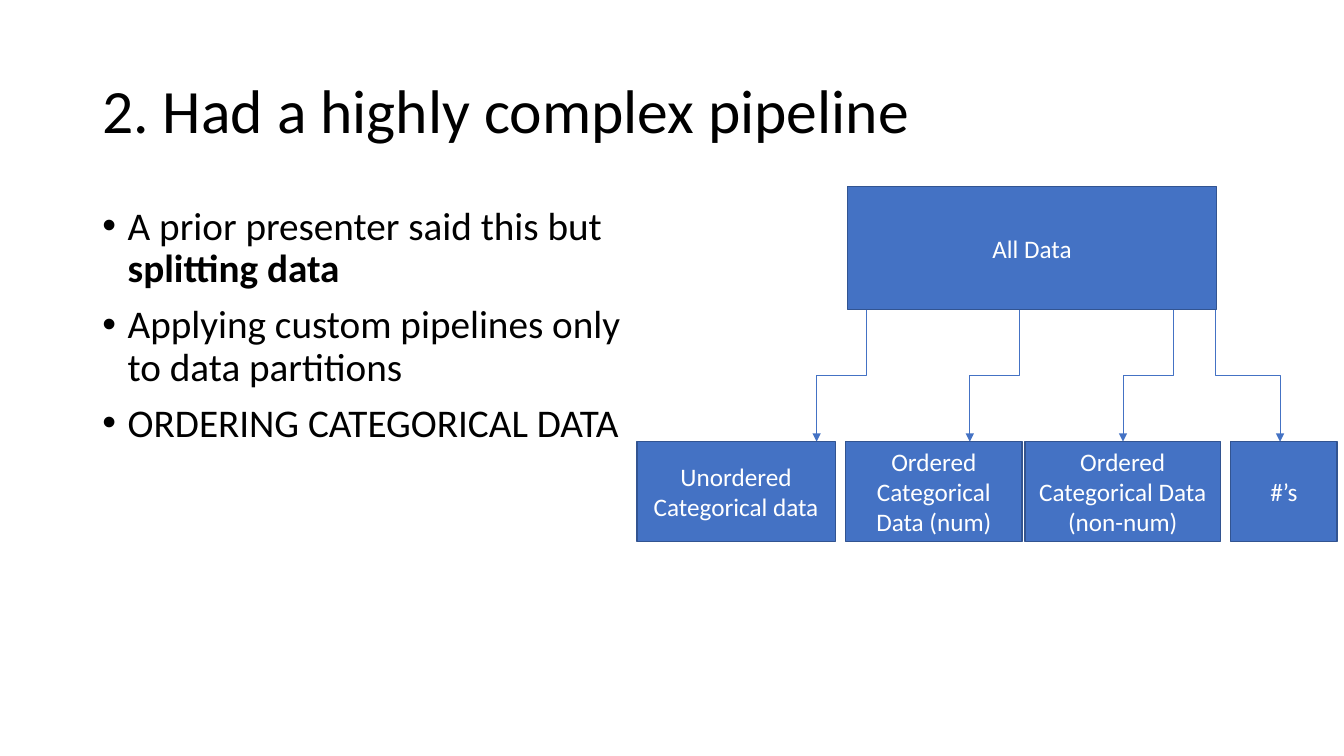
import lxml.etree
import pptx
import pptx.dml.color
import pptx.enum.shapes
import pptx.enum.text
import pptx.oxml.ns
import pptx.util

Cm = pptx.util.Cm
Pt = pptx.util.Pt
qualified = pptx.oxml.ns.qn

FONT = "Calibri"
COLOURS = {"text": "000000", "box": "4472C4", "outline": "325491", "label": "FFFFFF"}

BULLETS = [
    [("A prior presenter said this but ", False), ("splitting data", True)],
    [("Applying custom pipelines only to data partitions", False)],
    [("ORDERING CATEGORICAL DATA", False)],
]

# Label, left offset and width of each partition box
PARTITIONS = [
    ("Unordered Categorical data", 0, 5),
    ("Ordered Categorical Data (num)", 5.26, 4.45),
    ("Ordered Categorical Data (non-num)", 9.78, 4.93),
    ("#\u2019s", 14.96, 2.69),
]


def colour(name):
    """Return the named colour."""
    return pptx.dml.color.RGBColor.from_string(COLOURS[name])


def format_run(run, size, colour_name, bold=False):
    """Set the font of a run."""
    run.font.name = FONT
    run.font.size = Pt(size)
    run.font.bold = bold
    run.font.color.rgb = colour(colour_name)


def add_text_area(slide, left, top, width, height):
    """Add a wrapping text box and return its text frame."""
    text_frame = slide.shapes.add_textbox(Cm(left), Cm(top), Cm(width), Cm(height)).text_frame
    text_frame.word_wrap = True
    return text_frame


def add_title(slide, left, top, width, height):
    """Add the slide title, centred vertically in its box."""
    text_frame = add_text_area(slide, left, top, width, height)
    text_frame.vertical_anchor = pptx.enum.text.MSO_ANCHOR.MIDDLE
    paragraph = text_frame.paragraphs[0]
    paragraph.text = "2. Had a highly complex pipeline"
    paragraph.line_spacing = 0.9
    format_run(paragraph.runs[0], 44, "text")


def add_bullet(paragraph):
    """Give a paragraph a hanging round bullet."""
    properties = paragraph._p.get_or_add_pPr()
    properties.set("marL", str(Cm(0.64)))
    properties.set("indent", str(-Cm(0.64)))
    font = lxml.etree.SubElement(properties, qualified("a:buFont"))
    font.set("typeface", "Arial")
    lxml.etree.SubElement(properties, qualified("a:buChar")).set("char", "\u2022")


def add_bullet_list(slide, left, top, width, height):
    """Add the bulleted list."""
    text_frame = add_text_area(slide, left, top, width, height)
    for index, pieces in enumerate(BULLETS):
        paragraph = text_frame.add_paragraph() if index else text_frame.paragraphs[0]
        paragraph.line_spacing = 0.9
        paragraph.space_before = Pt(10)
        add_bullet(paragraph)
        for text, bold in pieces:
            run = paragraph.add_run()
            run.text = text
            format_run(run, 28, "text", bold)


def add_data_box(slide, label, left, top, width, height):
    """Add a filled rectangle with a centred label."""
    shape = slide.shapes.add_shape(
        pptx.enum.shapes.MSO_SHAPE.RECTANGLE, Cm(left), Cm(top), Cm(width), Cm(height))
    shape.shadow.inherit = False
    shape.fill.solid()
    shape.fill.fore_color.rgb = colour("box")
    shape.line.color.rgb = colour("outline")
    shape.line.width = Pt(1)
    text_frame = shape.text_frame
    text_frame.word_wrap = True
    text_frame.vertical_anchor = pptx.enum.text.MSO_ANCHOR.MIDDLE
    paragraph = text_frame.paragraphs[0]
    paragraph.text = label
    paragraph.alignment = pptx.enum.text.PP_ALIGN.CENTER
    format_run(paragraph.runs[0], 18, "label")


def add_down_arrow(slide, start, top, shift, drop):
    """Add an elbow arrow that falls by drop and moves sideways by shift."""
    # The elbow is laid out sideways around its centre, then turned to run downwards
    left = start + shift / 2 - drop / 2
    right = left + drop
    upper = top + drop / 2 - abs(shift) / 2
    begin, end = (right, left) if shift > 0 else (left, right)
    connector = slide.shapes.add_connector(
        pptx.enum.shapes.MSO_CONNECTOR.ELBOW,
        Cm(begin), Cm(upper), Cm(end), Cm(upper + abs(shift)))
    connector.line.color.rgb = colour("box")
    connector.line.width = Pt(0.5)
    properties = connector._element.spPr
    degrees = 270 if shift > 0 else 90
    properties.find(qualified("a:xfrm")).set("rot", str(degrees * 60000))
    tail = lxml.etree.SubElement(properties.find(qualified("a:ln")), qualified("a:tailEnd"))
    tail.set("type", "triangle")
    lxml.etree.SubElement(properties, qualified("a:effectLst"))


def add_split_diagram(slide, left, top, width, height):
    """Add the tree that splits all data into four partitions."""
    root_height, leaf_height = 3.1, 2.51
    leaf_top = top + height - leaf_height
    add_data_box(slide, "All Data", left + 5.31, top, 9.3, root_height)
    arrows = [(5.79 + 3.86 * index, -1.26) for index in range(3)] + [(14.58, 1.63)]
    for start, shift in arrows:
        add_down_arrow(slide, left + start, top + root_height, shift,
                       height - root_height - leaf_height)
    for label, offset, box_width in PARTITIONS:
        add_data_box(slide, label, left + offset, leaf_top,
                     min(box_width, width - offset), leaf_height)


def main():
    """Build and save the presentation."""
    presentation = pptx.Presentation()
    presentation.slide_width = Cm(33.87)
    presentation.slide_height = Cm(19.05)
    slide = presentation.slides.add_slide(presentation.slide_layouts[6])
    add_title(slide, 2.33, 1.01, 29.21, 3.68)
    add_bullet_list(slide, 2.33, 5.07, 14.6, 12.09)
    add_split_diagram(slide, 16.05, 4.7, 17.65, 8.94)
    presentation.save("out.pptx")


main()
